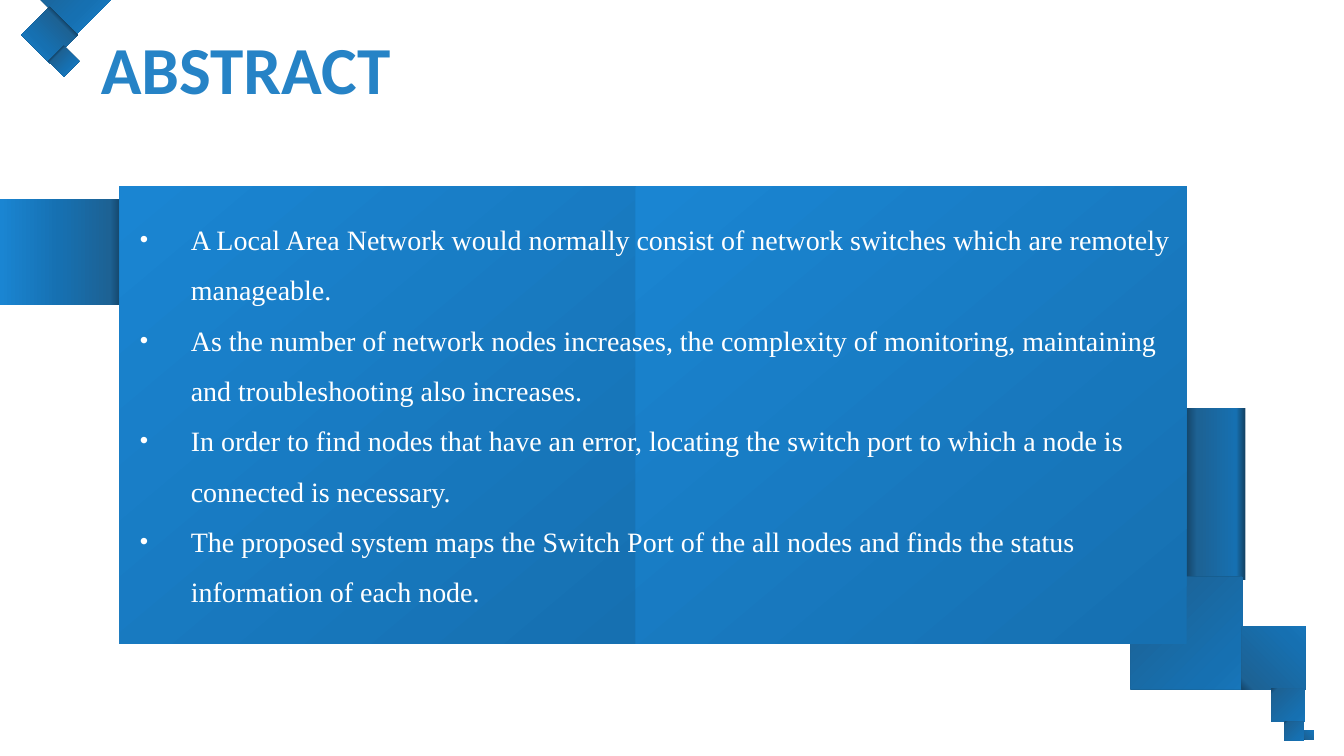
from pptx import Presentation, util as u
from pptx.dml.color import RGBColor
from pptx.enum import shapes, text
from pptx.oxml import parse_xml
from pptx.oxml.ns import nsdecls

COLORS = {"navy": "134163", "steel": "1D6294", "blue": "1670B1",
          "sky": "1A85D2", "title": "2683C6", "white": "FFFFFF"}

TITLE = "ABSTRACT"
POINTS = [
    "A Local Area Network would normally consist of network switches which are remotely manageable.",
    "As the number of network nodes increases, the complexity of monitoring, maintaining and troubleshooting also increases.",
    "In order to find nodes that have an error, locating the switch port to which a node is connected is necessary.",
    "The proposed system maps the Switch Port of the all nodes and finds the status information of each node.",
]

# Gradient stops: (percent, colour)
LEFT_BAND = [(0, "navy"), (10, "steel"), (51, "blue"), (100, "sky")]
RIGHT_BAND = [(0, "navy"), (21, "steel"), (85, "blue"), (100, "navy")]
PANEL = [(0, "blue"), (100, "sky")]
FOLD = [(24, "navy"), (30, "steel"), (64, "blue"), (100, "sky")]

# Bands: box, rotation, stops
BANDS = [((0.06, 1.42, 0.79, 0.91), 270, LEFT_BAND),
         ((8.4, 3.45, 1.28, 0.45), 90, RIGHT_BAND)]
# Folded ribbon squares: left, top, size, rotation, gradient angle
TOP_RIBBON = [(0.2, -0.47, 0.73, 180, 225), (0.16, 0.05, 0.42, 0, 135),
              (0.36, 0.34, 0.23, 270, 135)]
# All turned by 45 degrees and mirrored: left, top, size, gradient angle
BOTTOM_RIBBON = [(8.24, 4.12, 1.18, 135), (9.14, 4.56, 0.67, 225),
                 (9.41, 5.07, 0.35, 135), (9.53, 5.34, 0.2, 135),
                 (9.69, 5.42, 0.1, 225)]
PANEL_TOP, PANEL_HEIGHT = 1.39, 3.4
PANEL_COLUMNS = [(0.89, 3.85), (4.73, 4.1)]  # left, width


def add_gradient_shape(kind, box, stops, angle, rotation=0, mirrored=False):
    """Add a borderless shape; a mirrored one keeps its gradient unturned."""
    shape = slide.shapes.add_shape(kind, *map(u.Inches, box))
    shape.rotation = rotation
    shape.shadow.inherit = False
    shape.line.fill.background()
    properties = shape._element.spPr
    if mirrored:
        properties.get_or_add_xfrm().set("flipH", "1")
    stop_xml = "".join(
        f'<a:gs pos="{percent * 1000}"><a:srgbClr val="{COLORS[color]}"/></a:gs>'
        for percent, color in stops)
    properties.prstGeom.addnext(parse_xml(
        f'<a:gradFill rotWithShape="{int(not mirrored)}" {nsdecls("a")}>'
        f'<a:gsLst>{stop_xml}</a:gsLst>'
        f'<a:lin ang="{angle * 60000}" scaled="0"/></a:gradFill>'))


def add_bullet(paragraph, indent=0.38):
    properties = paragraph._p.get_or_add_pPr()
    properties.set("marL", str(u.Inches(indent)))
    properties.set("indent", str(-u.Inches(indent)))
    for tag in ('buSzPct val="85000"', 'buFont typeface="Arial"', 'buChar char="•"'):
        properties.append(parse_xml(f'<a:{tag} {nsdecls("a")}/>'))


def write_text(shape, box, lines, *, font, size, color, bold=False,
               bullets=False, spacing=1.0):
    """Place a placeholder in front of the shapes and fill it with paragraphs."""
    slide.shapes._spTree.append(shape._element)
    shape.left, shape.top, shape.width, shape.height = map(u.Inches, box)
    frame = shape.text_frame
    frame.text = "\n".join(lines)
    frame.word_wrap = True
    frame.auto_size = text.MSO_AUTO_SIZE.SHAPE_TO_FIT_TEXT
    frame.vertical_anchor = text.MSO_ANCHOR.TOP
    for paragraph in frame.paragraphs:
        if bullets:
            add_bullet(paragraph)
        paragraph.alignment = text.PP_ALIGN.LEFT
        paragraph.line_spacing = spacing
        paragraph.space_before = u.Pt(0)
        for run in paragraph.runs:
            run.font.name, run.font.size, run.font.bold = font, u.Pt(size), bold
            run.font.color.rgb = RGBColor.from_string(COLORS[color])


presentation = Presentation()
presentation.slide_width = u.Inches(10)
presentation.slide_height = presentation.slide_width * 9 // 16
slide = presentation.slides.add_slide(presentation.slide_layouts[1])
title, body = slide.placeholders

RECTANGLE, DIAMOND = shapes.MSO_SHAPE.RECTANGLE, shapes.MSO_SHAPE.DIAMOND
panels = [(left, PANEL_TOP, width, PANEL_HEIGHT) for left, width in PANEL_COLUMNS]

for box, rotation, stops in BANDS:
    add_gradient_shape(RECTANGLE, box, stops, 270, rotation)
add_gradient_shape(RECTANGLE, panels[0], PANEL, 230)
for left, top, size, rotation, angle in TOP_RIBBON:
    add_gradient_shape(DIAMOND, (left, top, size, size), FOLD, angle, rotation)
for left, top, size, angle in BOTTOM_RIBBON:
    add_gradient_shape(DIAMOND, (left, top, size, size), FOLD, angle, 45, mirrored=True)
add_gradient_shape(RECTANGLE, panels[1], PANEL, 230)

write_text(title, (0.65, 0.15, 7.2, 0.71), [TITLE],
           font="Calibri", size=36, color="title", bold=True)
write_text(body, (0.94, 1.48, 7.91, 3.13), POINTS, font="Times New Roman",
           size=15, color="white", bullets=True, spacing=1.5)

presentation.save("out.pptx")
